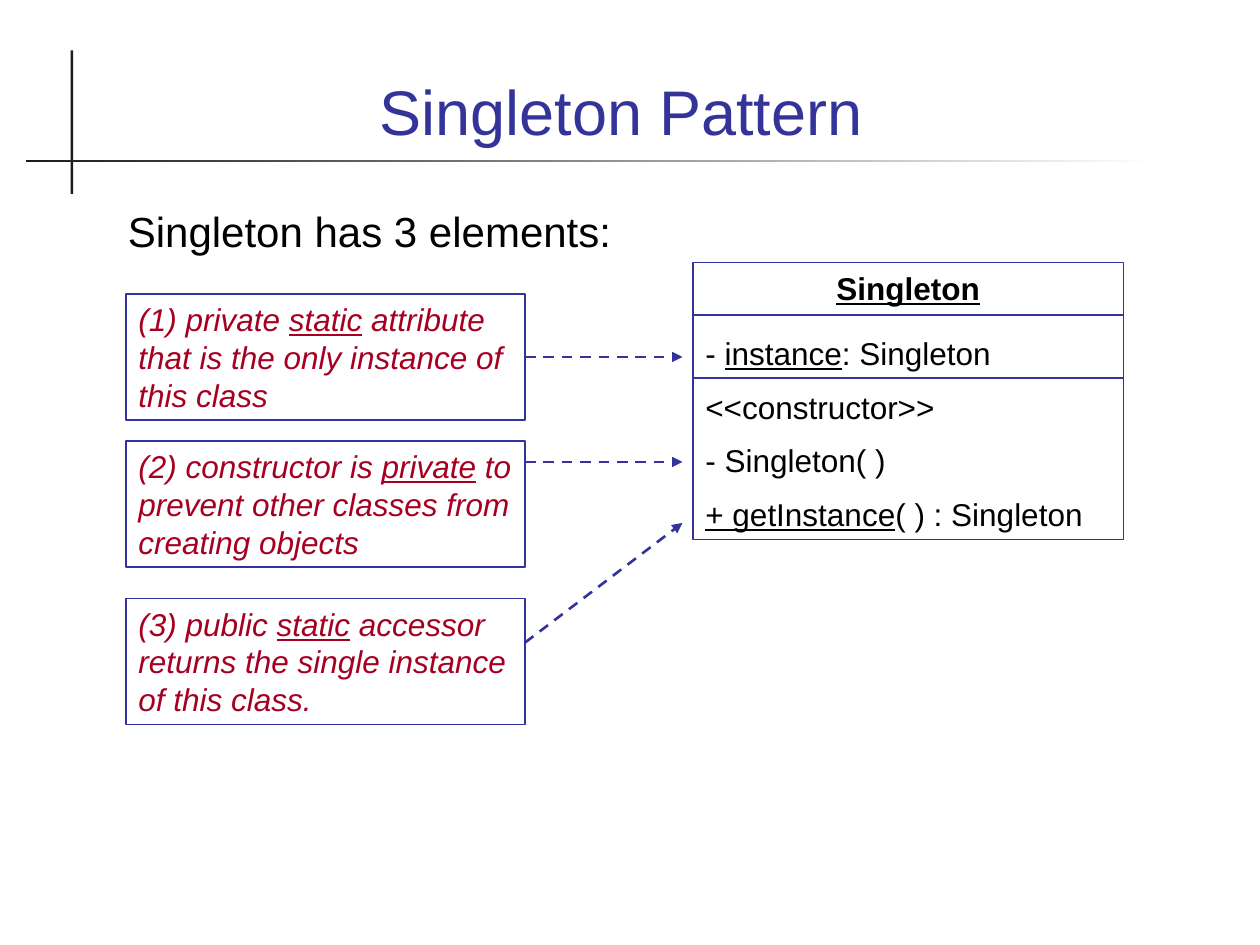
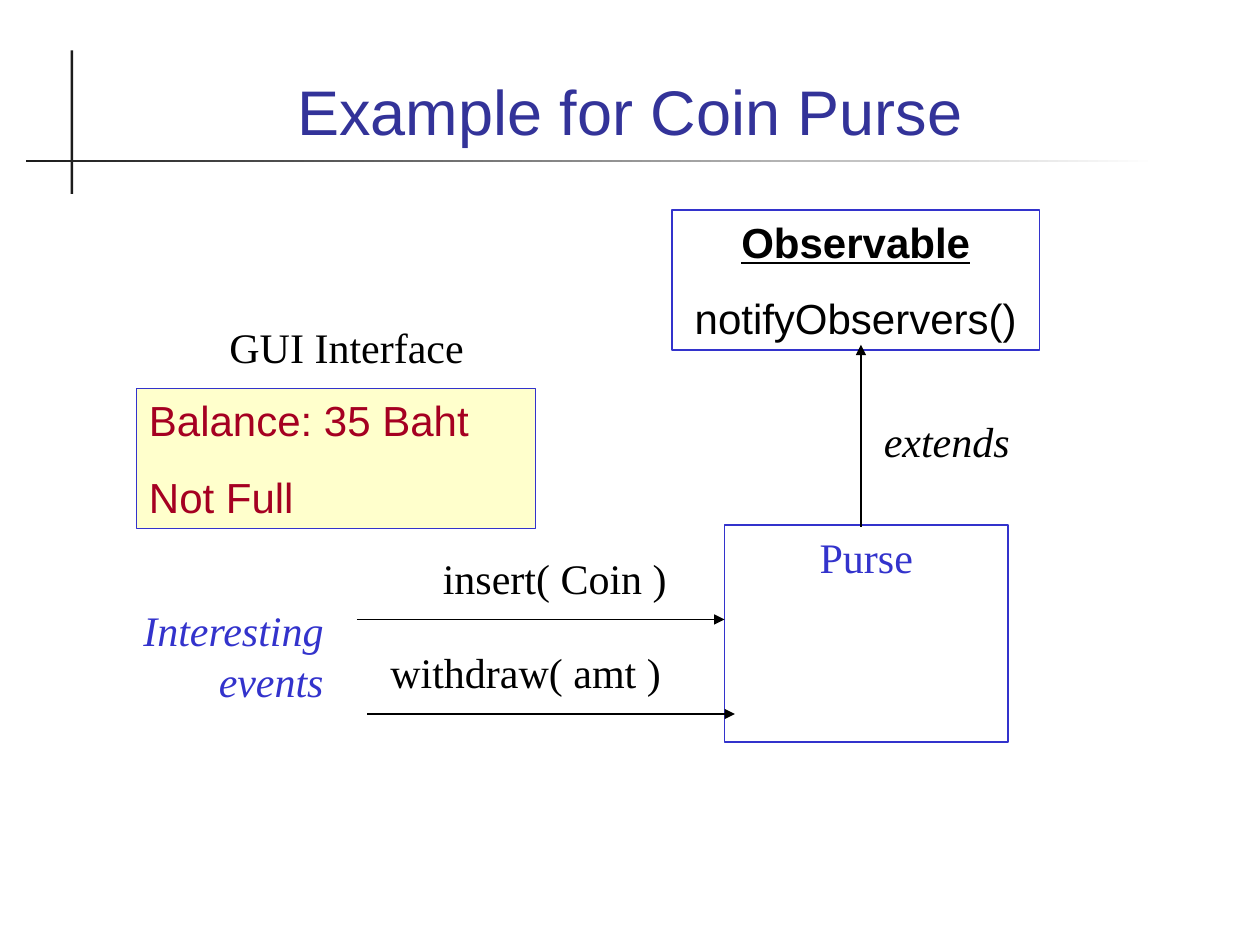
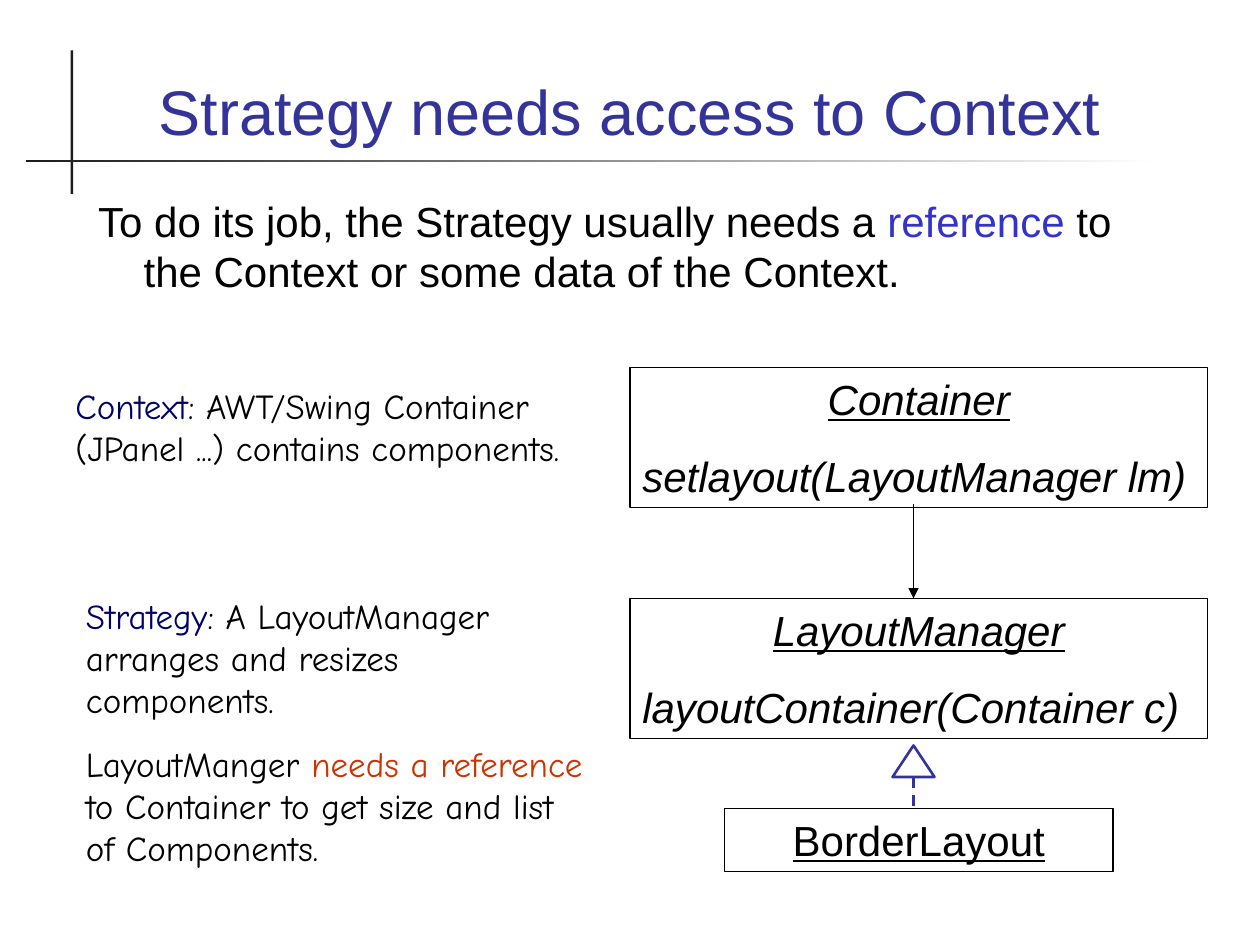
from dataclasses import dataclass, field
from typing import Any, Optional

from lxml import etree
from pptx import Presentation
from pptx.dml.color import RGBColor
from pptx.enum import dml, shapes, text
from pptx.oxml import ns
from pptx.util import Pt

BLACK = RGBColor(0x00, 0x00, 0x00)
WHITE = RGBColor(0xFF, 0xFF, 0xFF)
COAL = RGBColor(0x1C, 0x1C, 0x1C)
INDIGO = RGBColor(0x33, 0x33, 0x99)
BLUE = RGBColor(0x33, 0x33, 0xCC)
NAVY = RGBColor(0x00, 0x00, 0x66)
RED = RGBColor(0xA5, 0x00, 0x21)
RUST = RGBColor(0xCC, 0x33, 0x00)
CREAM = RGBColor(0xFF, 0xFF, 0xCC)

LEFT, MID, RIGHT = text.PP_ALIGN.LEFT, text.PP_ALIGN.CENTER, text.PP_ALIGN.RIGHT
RECT = shapes.MSO_SHAPE.RECTANGLE
Look = dict[str, Any]

TITLE: Look = {"name": "Arial", "size": Pt(36), "rgb": INDIGO}
SANS: Look = {"name": "Arial", "size": Pt(24), "rgb": BLACK}
SMALL: Look = SANS | {"size": Pt(18)}
NOTE: Look = SMALL | {"rgb": RED, "italic": True}
SERIF: Look = SANS | {"name": "Times New Roman"}
COMIC: Look = SANS | {"name": "Comic Neue", "size": Pt(20)}
UNDER: Look = {"underline": True}
HEAD: Look = {"underline": True, "bold": True}


@dataclass
class Run:
    words: str
    look: Look = field(default_factory=dict)


@dataclass
class Para:
    runs: list[Run]
    align: Any = LEFT
    before: float = 15
    after: float = 0
    hang: float = 0


@dataclass
class Box:
    x: float
    y: float
    w: float
    h: float
    paras: list[Para]
    look: Look
    edge: Optional[RGBColor] = None
    weight: float = 0.75
    fill: Optional[RGBColor] = None


@dataclass
class Line:
    x1: float
    y1: float
    x2: float
    y2: float
    rgb: RGBColor = BLACK
    weight: float = 0.75
    dash: bool = False
    arrow: bool = True


def para(words: str, look: Optional[Look] = None, **rest: Any) -> Para:
    return Para([Run(words, look or {})], **rest)


def style(font: Any, look: Look) -> None:
    for name, value in look.items():
        setattr(font.color if name == "rgb" else font, name, value)


def write(frame: Any, paras: list[Para], look: Look) -> None:
    frame.word_wrap = True
    for spot, item in enumerate(paras):
        part = frame.add_paragraph() if spot else frame.paragraphs[0]
        part.alignment = item.align
        part.space_before, part.space_after = Pt(item.before), Pt(item.after)
        if item.hang:
            props = part._p.get_or_add_pPr()
            props.set("marL", str(Pt(item.hang + 1)))
            props.set("indent", str(Pt(-item.hang)))
        for piece in item.runs:
            run = part.add_run()
            run.text = piece.words
            style(run.font, look | piece.look)


def plain(slide: Any, kind: Any, x: float, y: float, w: float, h: float) -> Any:
    """Add a shape with no shadow and no fill."""
    shape = slide.shapes.add_shape(kind, Pt(x), Pt(y), Pt(w), Pt(h))
    shape.shadow.inherit = False
    shape.fill.background()
    return shape


def draw(slide: Any, box: Box) -> Any:
    if box.edge is None:
        shape = slide.shapes.add_textbox(Pt(box.x), Pt(box.y), Pt(box.w), Pt(box.h))
    else:
        shape = plain(slide, RECT, box.x, box.y, box.w, box.h)
        shape.line.color.rgb = box.edge
        shape.line.width = Pt(box.weight)
    if box.fill is not None:
        shape.fill.solid()
        shape.fill.fore_color.rgb = box.fill
    shape.text_frame.vertical_anchor = text.MSO_ANCHOR.TOP
    write(shape.text_frame, box.paras, box.look)
    return shape


def link(slide: Any, line: Line) -> Any:
    wire = slide.shapes.add_connector(
        shapes.MSO_CONNECTOR.STRAIGHT,
        Pt(line.x1), Pt(line.y1), Pt(line.x2), Pt(line.y2))
    wire.line.color.rgb = line.rgb
    wire.line.width = Pt(line.weight)
    if line.dash:
        wire.line.dash_style = dml.MSO_LINE.DASH
    if line.arrow:
        etree.SubElement(wire.line._get_or_add_ln(), ns.qn("a:tailEnd"), type="triangle")
    etree.SubElement(wire._element.spPr, ns.qn("a:effectLst"))
    return wire


def start(deck: Any, title: str) -> Any:
    """Add a slide with its title and the crossed rules."""
    slide = deck.slides.add_slide(deck.slide_layouts[5])
    post = plain(slide, RECT, 40.3, 28.8, 1.5, 82)
    post.fill.solid()
    post.fill.fore_color.rgb = COAL
    rule = plain(slide, RECT, 15, 91.3, 646.5, 1.5)
    rule.fill.gradient()
    rule.fill.gradient_angle = 180
    for stop, rgb in zip(rule.fill.gradient_stops, (WHITE, COAL)):
        stop.color.rgb = rgb
    for bar in (post, rule):
        bar.line.fill.background()

    head = slide.shapes.title
    place = {"left": 48, "top": 20, "width": 624, "height": 68.4}
    for name, value in place.items():
        setattr(head, name, Pt(value))
    head.text_frame.vertical_anchor = text.MSO_ANCHOR.BOTTOM
    write(head.text_frame, [para(title, align=MID, before=0)], TITLE)
    return slide


def single(deck: Any) -> None:
    slide = start(deck, "Singleton Pattern ")
    draw(slide, Box(66, 114, 606, 36, [para("Singleton has 3 elements:")], SANS))
    draw(slide, Box(396, 150, 246, 158.4, [
        para("Singleton", HEAD, align=MID, before=11.2, after=11.2),
        Para([Run("- "), Run("instance", UNDER), Run(": Singleton")], before=4.5),
        para("<<constructor>>", before=9),
        para("- Singleton( )", before=9),
        Para([Run("+ getInstance", UNDER), Run("( ) : Singleton")], before=9),
    ], SMALL, INDIGO, 1))
    for y in (180, 216):
        link(slide, Line(396, y, 642, y, INDIGO, 1, arrow=False))

    notes = (
        (168, 204, 204, "(1) private ", "static",
         " attribute that is the only instance of this class"),
        (252, 264, 264, "(2) constructor is ", "private",
         " to prevent other classes from creating objects"),
        (342, 367.2, 298.8, "(3) public ", "static",
         " accessor returns the single instance of this class."),
    )
    for top, y1, y2, lead, key, rest in notes:
        runs = [Run(lead), Run(key, UNDER), Run(rest)]
        note = draw(slide, Box(72, top, 228, 72, [Para(runs, before=11.2)],
                               NOTE, INDIGO, 1))
        wire = link(slide, Line(300, y1, 390, y2, INDIGO, 1.5, dash=True))
        if y1 == top + 36:
            wire.begin_connect(note, 3)


def purse(deck: Any) -> None:
    slide = start(deck, "Example for Coin Purse")
    slant = {"italic": True}
    boxes = (
        Box(414, 300, 162, 124, [para("Purse", {"rgb": BLUE}, align=MID)], SERIF, BLUE),
        Box(78, 222, 228, 80, [para("Balance: 35 Baht"), para("Not Full")],
            SANS | {"rgb": RED}, BLUE, fill=CREAM),
        Box(384, 120, 210, 80, [para("Observable", HEAD, align=MID),
                                para("notifyObservers()", align=MID)], SANS, BLUE),
        Box(246, 312, 144, 36, [para("insert( Coin )")], SERIF),
        Box(216, 366, 180, 36, [para("withdraw( amt )")], SERIF),
        Box(78, 180, 240, 36, [para("GUI Interface", align=MID)], SERIF),
        Box(498, 234, 126, 36, [para("extends", slant)], SERIF),
        Box(24, 342, 168, 65, [para("Interesting events", slant, align=RIGHT)],
            SERIF | {"rgb": BLUE}),
    )
    for box in boxes:
        draw(slide, box)
    for line in (Line(204, 354, 414, 354), Line(210, 408, 420, 408),
                 Line(492, 301, 492, 197)):
        link(slide, line)


def access(deck: Any) -> None:
    slide = start(deck, "Strategy needs access to Context")
    draw(slide, Box(48, 108, 624, 126, [Para([
        Run("To do its job, the Strategy usually needs a "),
        Run("reference", {"rgb": BLUE}),
        Run(" to the Context or some data of the Context."),
    ], before=6, hang=26)], SANS))

    types = ((210, "Container", "setlayout(LayoutManager lm)"),
             (342, "LayoutManager", "layoutContainer(Container c)"))
    for top, name, call in types:
        draw(slide, Box(360, top, 330, 80, [para(name, UNDER, align=MID), para(call)],
                        SANS | {"italic": True}, BLACK))
    draw(slide, Box(414, 462, 222, 36, [para("BorderLayout", UNDER, align=MID)],
                    SANS, BLACK))

    term = {"rgb": NAVY}
    draw(slide, Box(36, 216, 300, 55, [Para([
        Run("Context", term),
        Run(": AWT/Swing Container (JPanel ...) contains components."),
    ], before=12.5)], COMIC))
    draw(slide, Box(42, 336, 300, 164, [
        Para([Run("Strategy", term),
              Run(": A LayoutManager arranges and resizes components.")], before=12.5),
        Para([Run("LayoutManger "), Run("needs a reference", {"rgb": RUST}),
              Run(" to Container to get size and list of Components.")], before=12.5),
    ], COMIC))

    link(slide, Line(522, 288, 522, 342))
    tip = plain(slide, shapes.MSO_SHAPE.ISOSCELES_TRIANGLE, 510, 426, 24, 18)
    tip.line.color.rgb = INDIGO
    tip.line.width = Pt(1.5)
    link(slide, Line(522, 444, 522, 462, INDIGO, 1.5, dash=True, arrow=False))


def main() -> None:
    deck = Presentation()
    deck.slide_width, deck.slide_height = Pt(720), Pt(540)
    for build in (single, purse, access):
        build(deck)
    deck.save("out.pptx")


if __name__ == "__main__":
    main()
